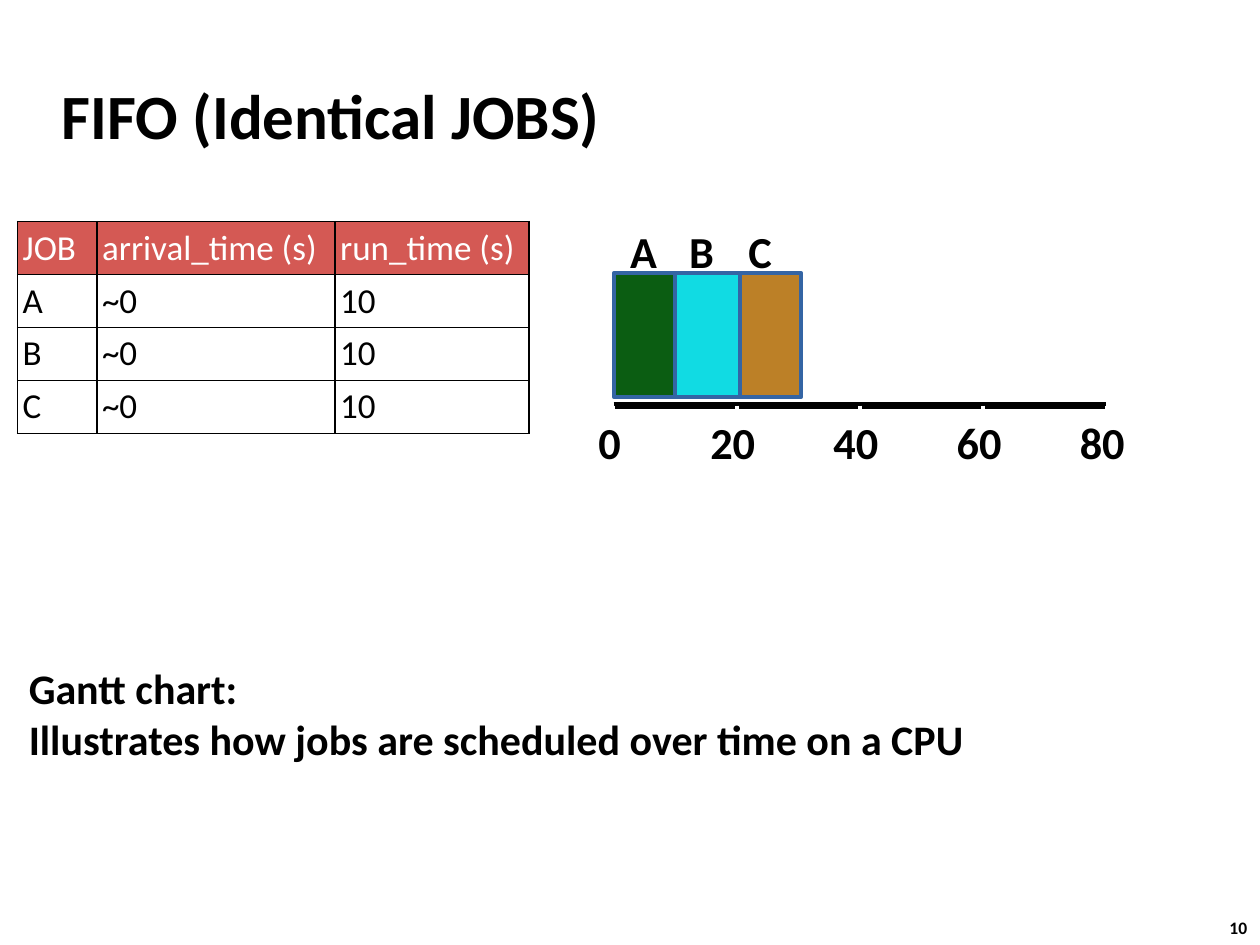
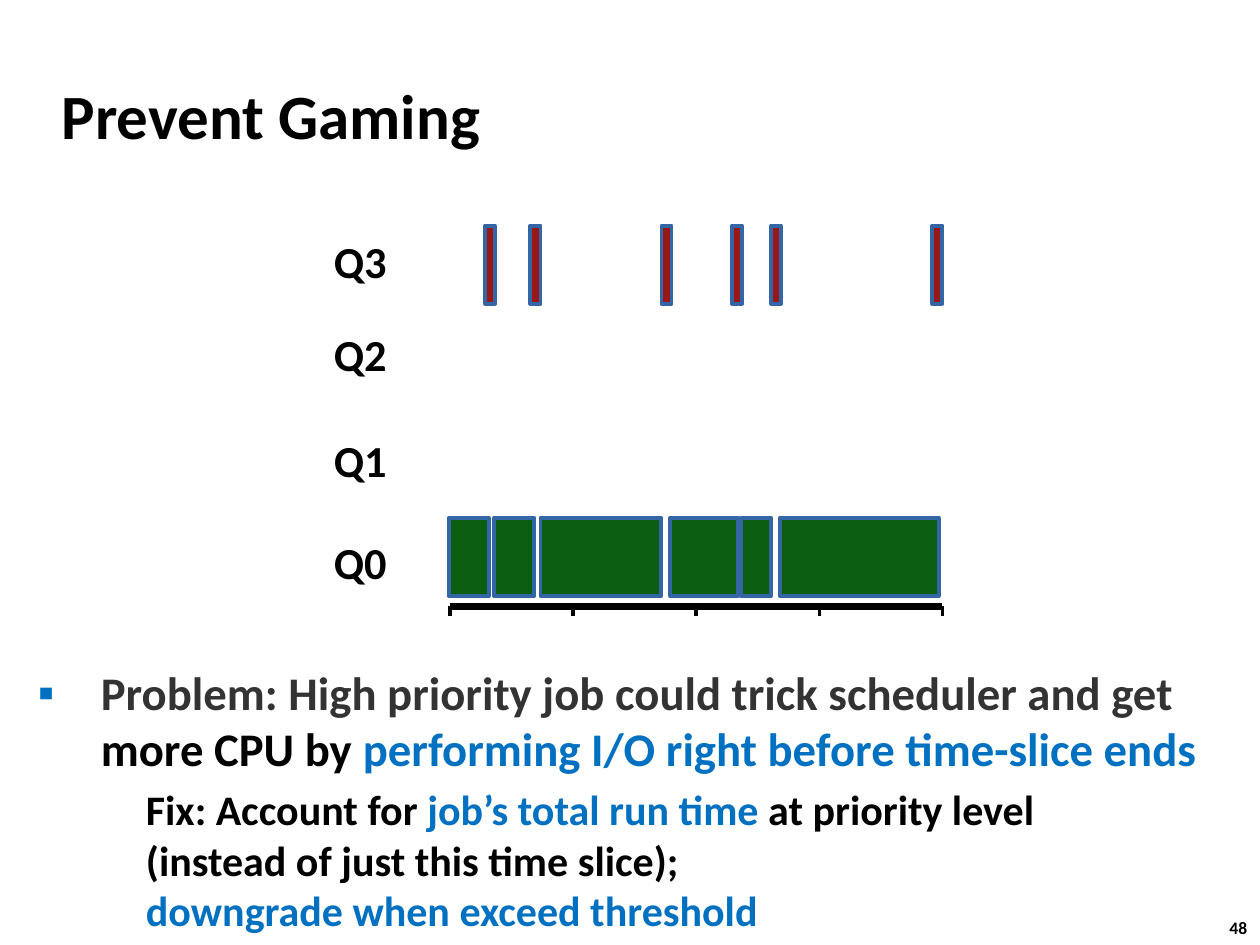
from lxml import etree
from pptx import Presentation
from pptx import util as u
from pptx.dml import color
from pptx.enum import shapes, text
from pptx.oxml import ns

# Content
FIFO = dict(
    title="FIFO (Identical JOBS)",
    number="10",
    table=[
        ("JOB", "arrival_time (s)", "run_time (s)"),
        ("A", "~0", "10"),
        ("B", "~0", "10"),
        ("C", "~0", "10"),
    ],
    runs=[("A", 0, "0B5D12"), ("C", 2, "BC8027"), ("B", 1, "11DBE3")],  # job, turn, fill
    times=["0", "20", "40", "60", "80"],
    caption=[("Gantt chart:\nIllustrates how jobs are scheduled over time on a CPU", "000000")],
)
GAMING = dict(
    title="Prevent Gaming",
    number="48",
    queues={"Q3": 2.07, "Q2": 2.81, "Q1": 3.65, "Q0": 4.46},  # name: centre height
    # (start, length) in inches along the time axis
    low_runs=[(-0.01, 0.32), (0.35, 0.32), (0.72, 0.96), (1.75, 0.54), (2.31, 0.24), (2.62, 1.26)],
    high_starts=[0.28, 0.64, 1.68, 2.24, 2.55, 3.83],
    problem=[
        ("Problem: High priority job could trick scheduler and get ", "333333"),
        ("more CPU by ", "000000"),
        ("performing I/O right before time-slice ends", "0070C0"),
    ],
    fix=[
        ("Fix: Account for ", "000000"),
        ("job’s total run time ", "0070C0"),
        ("at priority level\n(instead of just this time slice);\n", "000000"),
        ("downgrade when exceed threshold", "0070C0"),
    ],
)

# Shared format
BLACK, WHITE, ACCENT = "000000", "FFFFFF", "0070C0"
HEADER, BAR_EDGE = "D45954", "3465A4"
TITLE_SIZE, LABEL_SIZE, NOTE_SIZE = 36, 25.3, 24
AXIS_LENGTH, AXIS_PARTS, TICK = 3.91, 4, 0.08
LABEL_HEIGHT, INSET = 0.5, 0.04
LAYOUT_BULLETS, LAYOUT_TITLE = 1, 5


def rgb(value):
    return color.RGBColor.from_string(value)


def inches(*lengths):
    return [u.Inches(length) for length in lengths]


def assign(target, **values):
    for key, value in values.items():
        setattr(target, key, value)


def write(paragraph, runs, size, bold=True):
    """Add (words, colour) runs; a newline in the words is a line break."""
    for words, ink in runs:
        for i, line in enumerate(words.split("\n")):
            if i:
                paragraph.add_line_break()
            if line:
                run = paragraph.add_run()
                run.text = line
                assign(run.font, name="Calibri", size=u.Pt(size), bold=bold)
                run.font.color.rgb = rgb(ink)


def add_text(slide, box, runs, size, wrap=False, **frame_format):
    frame = slide.shapes.add_textbox(*inches(*box)).text_frame
    assign(frame, word_wrap=wrap, **frame_format)
    write(frame.paragraphs[0], runs, size)


def insets(length):
    sides = ("left", "top", "right", "bottom")
    return {f"margin_{side}": u.Inches(length) for side in sides}


def add_label(slide, words, centre, middle, width):
    box = (centre - width / 2, middle - LABEL_HEIGHT / 2, width, LABEL_HEIGHT)
    add_text(slide, box, [(words, BLACK)], LABEL_SIZE,
             vertical_anchor=text.MSO_ANCHOR.MIDDLE, **insets(INSET))


def add_bar(slide, box, fill):
    bar = slide.shapes.add_shape(shapes.MSO_SHAPE.RECTANGLE, *inches(*box))
    bar.shadow.inherit = False
    bar.fill.solid()
    bar.fill.fore_color.rgb = rgb(fill)
    bar.line.color.rgb = rgb(BAR_EDGE)
    bar.line.width = u.Pt(2.25)


def add_line(slide, start, end, ink, width):
    line = slide.shapes.add_connector(shapes.MSO_CONNECTOR.STRAIGHT, *inches(*start, *end))
    line.line.color.rgb = rgb(ink)
    line.line.width = u.Pt(width)
    etree.SubElement(line._element.spPr, ns.qn("a:effectLst"))


def add_axis(slide, left, y, tick_ink):
    """Draw the time axis and return the places of its ticks."""
    add_line(slide, (left, y), (left + AXIS_LENGTH, y), BLACK, 4)
    ticks = [left + AXIS_LENGTH * i / AXIS_PARTS for i in range(AXIS_PARTS + 1)]
    for x in ticks:
        add_line(slide, (x, y), (x, y + TICK), tick_ink, 2)
    return ticks


def place(shape, *box):
    assign(shape, **dict(zip(("left", "top", "width", "height"), inches(*box))))


def new_slide(deck, layout, content):
    """Add a slide with the shared title style and page number."""
    slide = deck.slides.add_slide(deck.slide_layouts[layout])
    title = slide.shapes.title
    place(title, 0.39, 0.49, 8.3, 0.83)
    assign(title.text_frame, vertical_anchor=text.MSO_ANCHOR.MIDDLE,
           auto_size=text.MSO_AUTO_SIZE.NONE)
    heading = title.text_frame.paragraphs[0]
    heading.alignment = text.PP_ALIGN.LEFT
    write(heading, [(content["title"], BLACK)], TITLE_SIZE)
    add_text(slide, (9.66, 7.23, 0.37, 0.27), [(content["number"], BLACK)], 10)
    return slide


def add_border(cell):
    properties = cell._tc.get_or_add_tcPr()
    for side in ("lnL", "lnR", "lnT", "lnB"):
        edge = etree.SubElement(properties, ns.qn(f"a:{side}"), w=str(u.Pt(1)))
        fill = etree.SubElement(edge, ns.qn("a:solidFill"))
        etree.SubElement(fill, ns.qn("a:srgbClr"), val=BLACK)


def add_job_table(slide, rows):
    widths = (0.63, 1.89, 1.54)
    table = slide.shapes.add_table(
        len(rows), len(widths), *inches(0.14, 1.76, sum(widths), 0.42 * len(rows))).table
    table.horz_banding = False
    for column, width in zip(table.columns, widths):
        column.width = u.Inches(width)
    for r, row in enumerate(rows):
        for c, words in enumerate(row):
            cell = table.cell(r, c)
            assign(cell, vertical_anchor=text.MSO_ANCHOR.MIDDLE, **insets(INSET))
            add_border(cell)
            if r == 0:
                cell.fill.solid()
                cell.fill.fore_color.rgb = rgb(HEADER)
            else:
                cell.fill.background()
            ink = BLACK if r else WHITE
            write(cell.text_frame.paragraphs[0], [(words, ink)], 20, bold=False)


def build_fifo(deck):
    slide = new_slide(deck, LAYOUT_TITLE, FIFO)
    left, axis_y = 4.87, 3.22

    # Gantt chart
    for job, turn, fill in FIFO["runs"]:
        add_bar(slide, (left + 0.485 * turn, 2.17, 0.52, 0.98), fill)
        add_label(slide, job, 5.1 + 0.47 * turn, 1.99, 0.28)
    for x, time in zip(add_axis(slide, left, axis_y, WHITE), FIFO["times"]):
        add_label(slide, time, x - 0.03, axis_y + 0.29, 0.08 + 0.18 * len(time))

    # Caption and job table
    add_text(slide, (0.13, 5.21, 9.51, 0.91), FIFO["caption"], NOTE_SIZE, wrap=True)
    add_job_table(slide, FIFO["table"])


def build_gaming(deck):
    slide = new_slide(deck, LAYOUT_BULLETS, GAMING)
    left, bar_height = 3.57, 0.62

    # Problem bullet
    body = slide.placeholders[1]
    place(body, 0.3, 5.27, 9.73, 0.93)
    assign(body.text_frame, auto_size=text.MSO_AUTO_SIZE.NONE, **insets(0))
    problem = body.text_frame.paragraphs[0]
    bullet = problem._p.get_or_add_pPr()
    bullet.set("marL", str(u.Inches(0.5)))
    bullet.set("indent", str(-u.Inches(0.5)))
    tint = etree.SubElement(bullet, ns.qn("a:buClr"))
    etree.SubElement(tint, ns.qn("a:srgbClr"), val=ACCENT)
    etree.SubElement(bullet, ns.qn("a:buChar"), char="▪")
    problem.space_before = u.Pt(0)
    write(problem, GAMING["problem"], 26.7)

    # Fix
    add_text(slide, (1.06, 6.17, 7.39, 1.31), GAMING["fix"], NOTE_SIZE)

    # Queues over time
    for queue, middle in GAMING["queues"].items():
        add_label(slide, queue, 2.86, middle, 0.5)
    for start, length in GAMING["low_runs"]:
        add_bar(slide, (left + start, 4.11, length, bar_height), "0B5D12")
    for start in GAMING["high_starts"]:
        add_bar(slide, (left + start, 1.79, 0.08, bar_height), "971817")
    add_axis(slide, left, 4.81, BLACK)


def main():
    deck = Presentation()
    assign(deck, slide_width=u.Inches(10), slide_height=u.Inches(7.5))
    build_fifo(deck)
    build_gaming(deck)
    deck.save("out.pptx")


if __name__ == "__main__":
    main()
